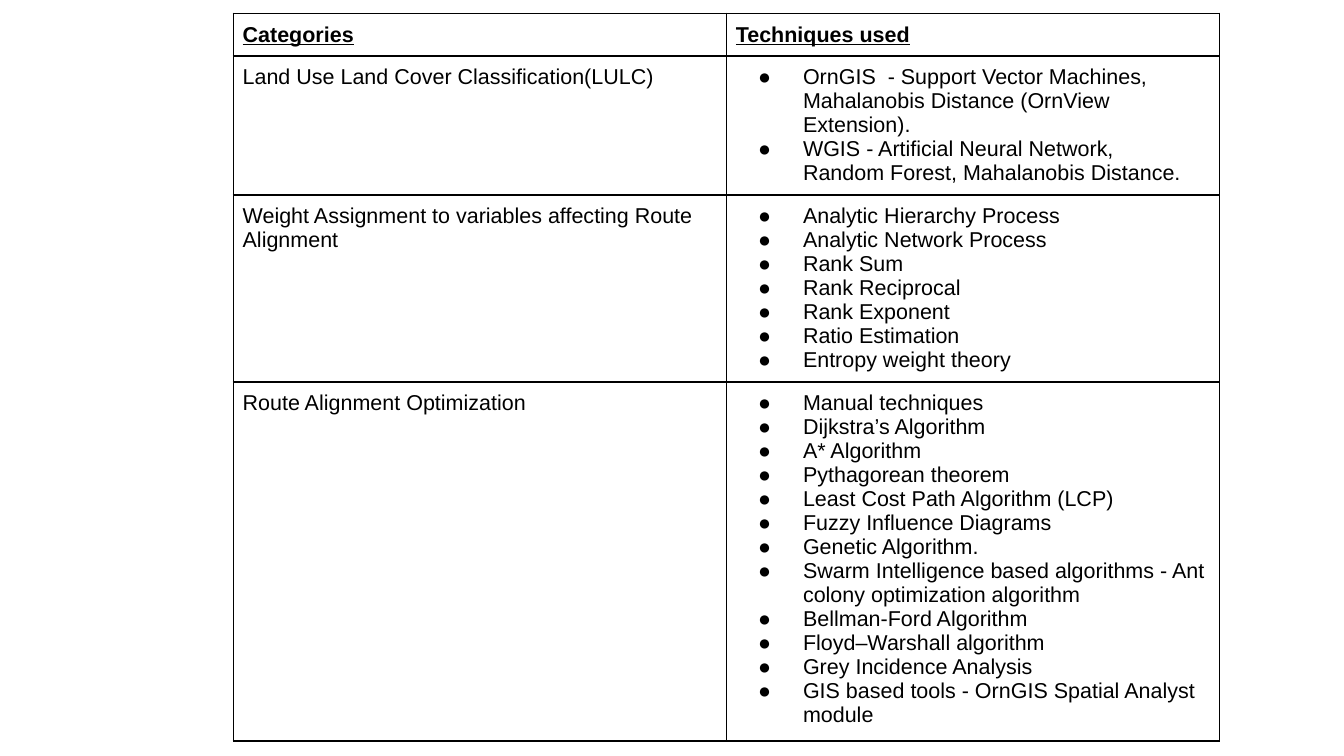
from pptx import Presentation
from pptx.dml.color import RGBColor
from pptx.oxml import parse_xml
from pptx.oxml.ns import nsdecls
from pptx.util import Pt


def color(code):
    return RGBColor.from_string(code)


def node(tag, attrs, inner=""):
    return parse_xml(f"<a:{tag} {nsdecls('a')} {attrs}>{inner}</a:{tag}>")


INK = "000000"
heads = ["Categories", "Techniques used"]
groups = [
    ("Land Use Land Cover Classification(LULC)", [
        "OrnGIS  - Support Vector Machines,",
        "Mahalanobis Distance (OrnView Extension).",
        "WGIS - Artificial Neural Network,",
        "Random Forest, Mahalanobis Distance.",
    ]),
    ("Weight Assignment to variables affecting Route Alignment", [
        "Analytic Hierarchy Process",
        "Analytic Network Process",
        "Rank Sum",
        "Rank Reciprocal",
        "Rank Exponent",
        "Ratio Estimation",
        "Entropy weight theory",
    ]),
    ("Route Alignment Optimization", [
        "Manual techniques",
        "Dijkstra’s Algorithm",
        "A* Algorithm",
        "Pythagorean theorem",
        "Least Cost Path Algorithm (LCP)",
        "Fuzzy Influence Diagrams",
        "Genetic Algorithm.",
        "Swarm Intelligence based algorithms - Ant colony optimization algorithm",
        "Bellman-Ford Algorithm",
        "Floyd–Warshall algorithm",
        "Grey Incidence Analysis",
        "GIS based tools - OrnGIS Spatial Analyst module",
    ]),
]
heights = [22.9, 74.5, 100, 192.6]
width = 264.2

deck = Presentation()
deck.slide_width = Pt(720)
deck.slide_height = Pt(405)
slide = deck.slides.add_slide(deck.slide_layouts[6])
frame = slide.shapes.add_table(
    4, 2, Pt(125), Pt(7.2), Pt(2 * width), Pt(sum(heights)))
table = frame.table
table.first_row = False
table.horz_banding = False
for col in table.columns:
    col.width = Pt(width)
for row, height in zip(table.rows, heights):
    row.height = Pt(height)

for i, texts in enumerate([heads] + groups):
    for j, text in enumerate(texts):
        cell = table.cell(i, j)
        cell.margin_left = cell.margin_right = Pt(5)
        cell.margin_top = cell.margin_bottom = Pt(5)
        props = cell._tc.get_or_add_tcPr()
        for tag in ("lnL", "lnR", "lnT", "lnB"):
            props.append(node(
                tag, f'w="{Pt(1)}"',
                f'<a:solidFill><a:srgbClr val="{INK}"/></a:solidFill>'))
        cell.fill.background()
        items = text if isinstance(text, list) else [text]
        cell.text_frame.text = "\n".join(items)
        for para in cell.text_frame.paragraphs:
            if items is text:
                form = para._p.get_or_add_pPr()
                form.set("marL", str(Pt(36)))
                if para.text.startswith(("Mahalanobis", "Random")):
                    form.set("indent", "0")
                    form.append(node("buNone", ""))
                else:
                    form.set("indent", str(Pt(-24)))
                    form.append(node("buClr", "", f'<a:srgbClr val="{INK}"/>'))
                    form.append(node("buFont", 'typeface="Arial"'))
                    form.append(node("buChar", 'char="●"'))
            for run in para.runs:
                run.font.name = "Arial"
                run.font.size = Pt(11.5)
                run.font.bold = i == 0
                run.font.underline = i == 0
                run.font.color.rgb = color(INK)

deck.save("out.pptx")
